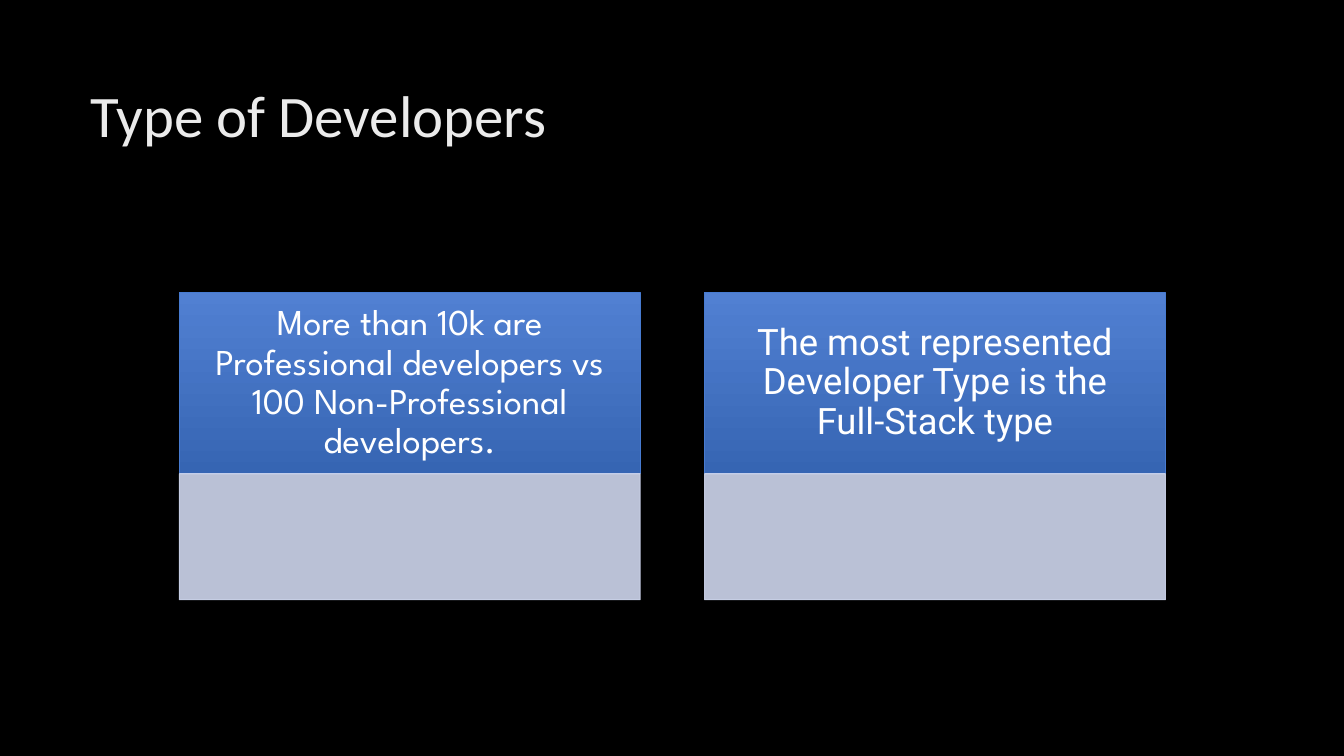
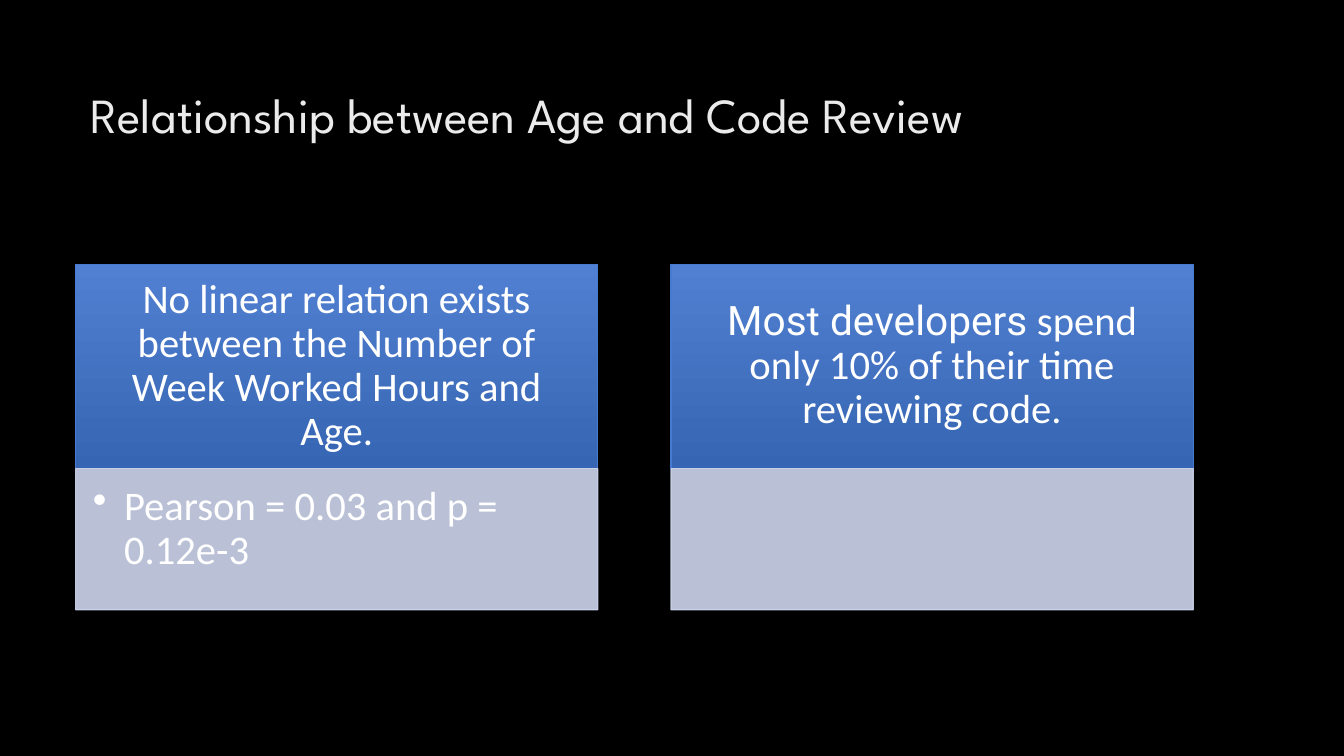
from lxml import etree
from pptx import Presentation
from pptx.dml.color import RGBColor
from pptx.enum.shapes import MSO_SHAPE as Shape
from pptx.enum.text import MSO_ANCHOR as Anchor, PP_ALIGN as Align
from pptx.oxml.ns import qn
from pptx.util import Inches, Pt

# Shared look
BLACK = RGBColor(0x00, 0x00, 0x00)
WHITE = RGBColor(0xFF, 0xFF, 0xFF)
TITLE_GREY = RGBColor(0xEB, 0xEB, 0xEB)
BLUE_TOP = RGBColor(0x51, 0x80, 0xD2)
BLUE_BOTTOM = RGBColor(0x36, 0x65, 0xB3)
BLUE_EDGE = RGBColor(0x47, 0x7B, 0xD1)
PALE_BLUE = RGBColor(0xCF, 0xD7, 0xEE)
CALIBRI, SPARTAN, ROBOTO = "Calibri", "League Spartan", "Roboto"
GAP_RATIO = 0.14  # gap between cards, as a share of the card width
BULLET_INDENT = Inches(0.31)


def set_insets(frame, left, top, right, bottom):
    frame.margin_left, frame.margin_top = Inches(left), Inches(top)
    frame.margin_right, frame.margin_bottom = Inches(right), Inches(bottom)


def style_paragraph(para, size, color, align=Align.LEFT, spacing=0.9):
    para.alignment = align
    para.line_spacing = spacing
    para.font.size = Pt(size)
    para.font.color.rgb = color


def add_spans(para, spans):
    """Write (text, font name) pairs; a single font goes on the paragraph."""
    if len(spans) == 1:
        para.font.name = spans[0][1]
    for text, font_name in spans:
        span = para.add_run()
        span.text = text
        if len(spans) > 1:
            span.font.name = font_name


def set_opacity(color_format_parent, percent):
    for color in color_format_parent.iter(qn("a:srgbClr")):
        etree.SubElement(color, qn("a:alpha"), val=str(percent * 1000))


def add_bullet(para):
    properties = para._p.get_or_add_pPr()
    properties.set("marL", str(BULLET_INDENT))
    properties.set("indent", str(-BULLET_INDENT))
    etree.SubElement(properties, qn("a:buChar"), char="•")


def add_title(page, text, font_name, size):
    box = page.shapes.add_textbox(Inches(0.8), Inches(0.4), Inches(11.89), Inches(1.47))
    frame = box.text_frame
    frame.word_wrap = True
    frame.vertical_anchor = Anchor.MIDDLE
    para = frame.paragraphs[0]
    style_paragraph(para, size, TITLE_GREY, spacing=1.0)
    add_spans(para, [(text, font_name)])


def add_panel(page, left, top, width, height, edge):
    panel = page.shapes.add_shape(
        Shape.RECTANGLE, Inches(left), Inches(top), Inches(width), Inches(height))
    panel.shadow.inherit = False
    panel.line.color.rgb = edge
    panel.line.width = Pt(0.75)
    panel.text_frame.word_wrap = True
    return panel


def add_card_head(page, left, top, width, height, spans, size, insets):
    head = add_panel(page, left, top, width, height, BLUE_EDGE)
    head.fill.gradient()
    head.fill.gradient_angle = 270
    for stop, color in zip(head.fill.gradient_stops, (BLUE_TOP, BLUE_BOTTOM)):
        stop.color.rgb = color
    frame = head.text_frame
    frame.vertical_anchor = Anchor.MIDDLE
    set_insets(frame, *insets)
    style_paragraph(frame.paragraphs[0], size, WHITE, Align.CENTER)
    add_spans(frame.paragraphs[0], spans)


def add_card_body(page, left, top, width, height, note, size):
    body = add_panel(page, left, top, width, height, PALE_BLUE)
    body.fill.solid()
    body.fill.fore_color.rgb = PALE_BLUE
    set_opacity(body._element.spPr, 90)
    if note:
        frame = body.text_frame
        frame.vertical_anchor = Anchor.TOP
        set_insets(frame, 0.17, 0.17, 0.23, 0.25)
        para = frame.paragraphs[0]
        add_bullet(para)
        style_paragraph(para, size, WHITE)
        add_spans(para, [(note, CALIBRI)])


def add_cards(page, cards, left, top, width, head_height, body_height, size, insets):
    """Place a row of cards, each a (heading spans, note) pair."""
    for index, (spans, note) in enumerate(cards):
        x = left + index * width * (1 + GAP_RATIO)
        add_card_head(page, x, top, width, head_height, spans, size, insets)
        add_card_body(page, x, top + head_height, width, body_height, note, size)


def main():
    deck = Presentation()
    deck.slide_width, deck.slide_height = Inches(13.33), Inches(7.5)
    background = deck.slide_master.background.fill
    background.solid()
    background.fore_color.rgb = BLACK
    blank = deck.slide_layouts[6]

    # Developer types
    page = deck.slides.add_slide(blank)
    add_cards(page, [
        ([("More than 10k are Professional developers vs 100 Non-Professional developers.",
           SPARTAN)], None),
        ([("The most represented Developer Type is the Full-Stack type", ROBOTO)], None),
    ], left=1.78, top=2.9, width=4.57, head_height=1.8, body_height=1.25,
        size=26, insets=(0.2, 0.12, 0.2, 0.12))
    add_title(page, "Type of Developers", CALIBRI, 42)

    # Age and code review
    page = deck.slides.add_slide(blank)
    add_cards(page, [
        ([("No linear relation exists between the Number of Week Worked Hours and Age.",
           CALIBRI)], "Pearson = 0.03 and p = 0.12e-3"),
        ([("Most developers", ROBOTO),
          (" spend only 10% of their time reviewing code.", CALIBRI)], None),
    ], left=0.75, top=2.62, width=5.18, head_height=2.03, body_height=1.4,
        size=29, insets=(0.23, 0.13, 0.23, 0.13))
    add_title(page, "Relationship between Age and Code Review", SPARTAN, 35)

    deck.save("out.pptx")


if __name__ == "__main__":
    main()
